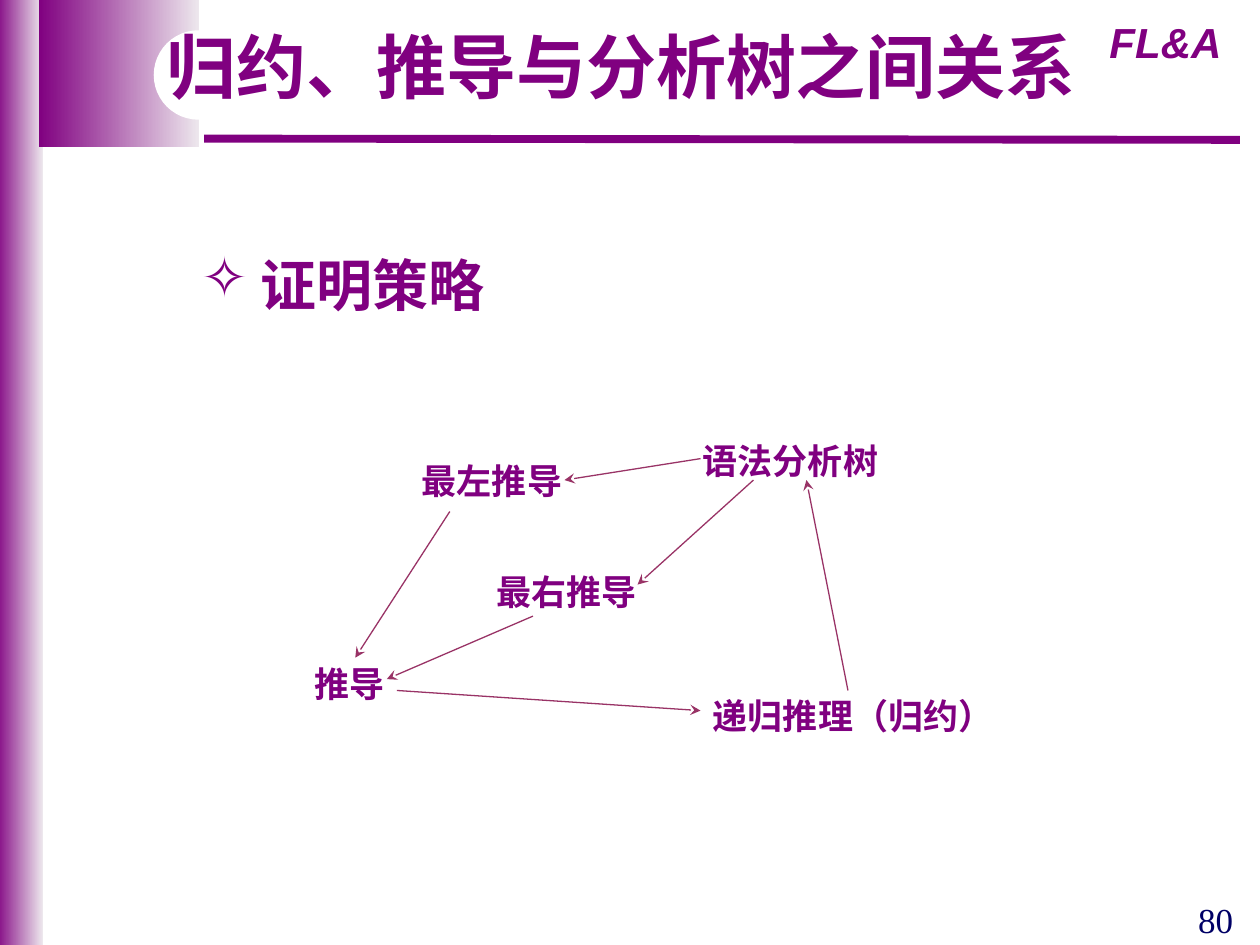
from lxml import etree
from pptx import Presentation
from pptx import util as u
from pptx.dml.color import RGBColor
from pptx.enum import shapes, text
from pptx.oxml import ns

PURPLE = RGBColor(0x80, 0x00, 0x80)
PALE = RGBColor(0xED, 0xE7, 0xED)
WHITE = RGBColor(0xFF, 0xFF, 0xFF)
PLUM = RGBColor(0x99, 0x33, 0x66)
NAVY = RGBColor(0x00, 0x00, 0x66)
SANS = "Arial"
SERIF = "Times New Roman"

BANDS = [(-0.04, 0, 0.38, 7.53), (0.31, 0, 1.27, 1.17)]
NODES = [
    ("递归推理（归约）", 5.56, 5.46, 2.44),
    ("语法分析树", 5.48, 3.44, 1.6),
    ("最左推导", 3.25, 3.6, 1.32),
    ("最右推导", 3.84, 4.48, 1.32),
    ("推导", 2.4, 5.21, 0.76),
]
ARROWS = [
    (6.73, 5.48, 6.4, 3.81),
    (5.56, 3.64, 4.48, 3.81),
    (5.98, 3.81, 5.06, 4.64),
    (3.57, 4.06, 2.82, 5.22),
    (4.23, 4.89, 3.07, 5.39),
    (3.15, 5.48, 5.56, 5.64),
]


def inches(values):
    return [u.Inches(value) for value in values]


class Painter:
    def __init__(self, page):
        self.page = page

    def style(self, para, size, face=SANS, color=PURPLE, bold=True, italic=False):
        font = para.font
        font.size, font.name = u.Pt(size), face
        font.bold, font.italic = bold, italic
        font.color.rgb = color

    def panel(self, kind, place):
        panel = self.page.shapes.add_shape(kind, *inches(place))
        panel.shadow.inherit = False
        panel.line.fill.background()
        return panel

    def band(self, place):
        fill = self.panel(shapes.MSO_SHAPE.RECTANGLE, place).fill
        fill.gradient()
        fill.gradient_angle = 0
        for stop, color, position in zip(fill.gradient_stops, (PURPLE, PALE), (0, 1)):
            stop.color.rgb = color
            stop.position = position

    def pill(self, place):
        pill = self.panel(shapes.MSO_SHAPE.ROUNDED_RECTANGLE, place)
        pill.adjustments[0] = 0.5
        pill.fill.solid()
        pill.fill.fore_color.rgb = WHITE

    def line(self, ends, color, width, arrow=False):
        line = self.page.shapes.add_connector(shapes.MSO_CONNECTOR.STRAIGHT, *inches(ends))
        line.line.color.rgb = color
        line.line.width = u.Pt(width)
        if arrow:
            etree.SubElement(line.line._get_or_add_ln(), ns.qn("a:tailEnd"), type="stealth")
        etree.SubElement(line._element.spPr, ns.qn("a:effectLst"))

    def label(self, words, place, size, wrap=True, align=None, bullet=None, **look):
        box = self.page.shapes.add_textbox(*inches(place))
        box.text_frame.word_wrap = wrap
        para = box.text_frame.paragraphs[0]
        para.text = words
        para.alignment = align
        if bullet:
            props = para._p.get_or_add_pPr()
            indent = u.Inches(0.47)
            props.set("marL", str(indent))
            props.set("indent", str(-indent))
            etree.SubElement(props, ns.qn("a:buChar"), char=bullet)
        self.style(para, size, **look)

    def title(self, words, place):
        title = self.page.shapes.title
        title.left, title.top, title.width, title.height = inches(place)
        frame = title.text_frame
        frame.word_wrap = False
        frame.auto_size = text.MSO_AUTO_SIZE.NONE
        frame.vertical_anchor = text.MSO_ANCHOR.MIDDLE
        para = frame.paragraphs[0]
        para.text = words
        para.alignment = text.PP_ALIGN.CENTER
        para.line_spacing = 0.9
        self.style(para, 40, face=SERIF)
        self.page.shapes.element.append(title.element)


def main():
    deck = Presentation()
    deck.slide_width, deck.slide_height = inches((10, 7.5))
    painter = Painter(deck.slides.add_slide(deck.slide_layouts[5]))

    for place in BANDS:
        painter.band(place)
    painter.line((1.62, 1.1, 9.84, 1.11), PURPLE, 4.5)
    painter.label("FL&A", (8.62, 0.08, 1.26, 0.5), 24,
                  align=text.PP_ALIGN.CENTER, italic=True)
    painter.pill((1.22, 0.24, 3.62, 0.71))

    for words, left, top, width in NODES:
        painter.label(words, (left, top, width, 0.43), 20, wrap=False)
    for ends in ARROWS:
        painter.line(ends, PLUM, 0.75, arrow=True)

    painter.label("证明策略", (1.5, 1.94, 5, 0.63), 32, bullet="✧")
    painter.title("归约、推导与分析树之间关系", (1.22, 0.21, 7.42, 0.7))
    painter.label("80", (9.41, 7.08, 0.59, 0.44), 20,
                  face=SERIF, color=NAVY, bold=False)
    deck.save("out.pptx")


if __name__ == "__main__":
    main()
